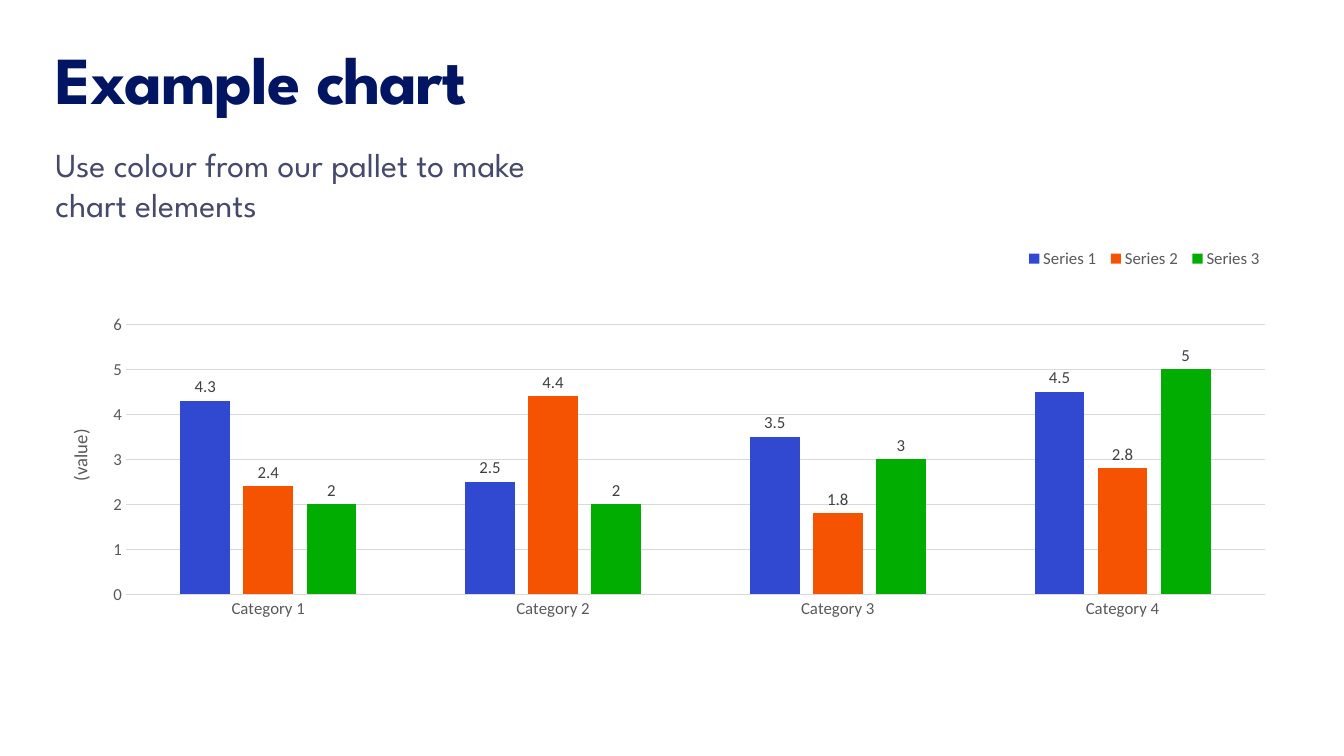
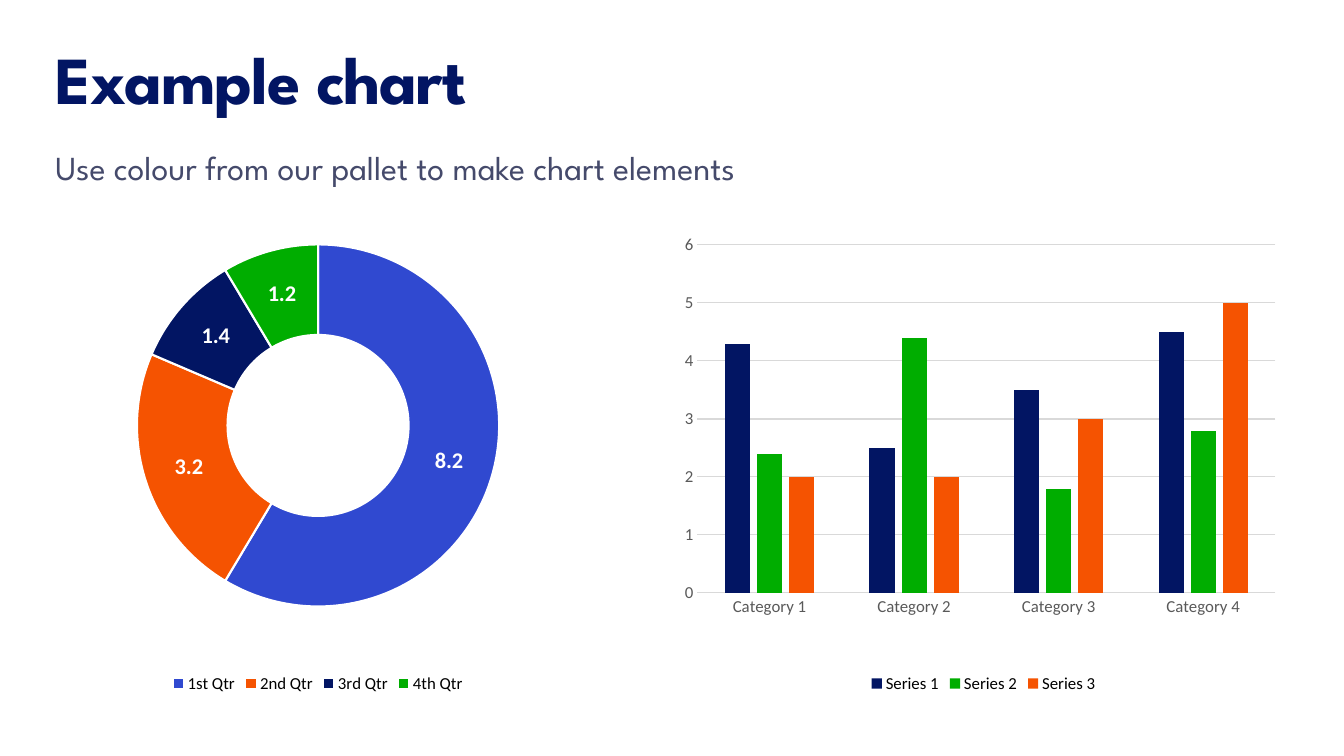
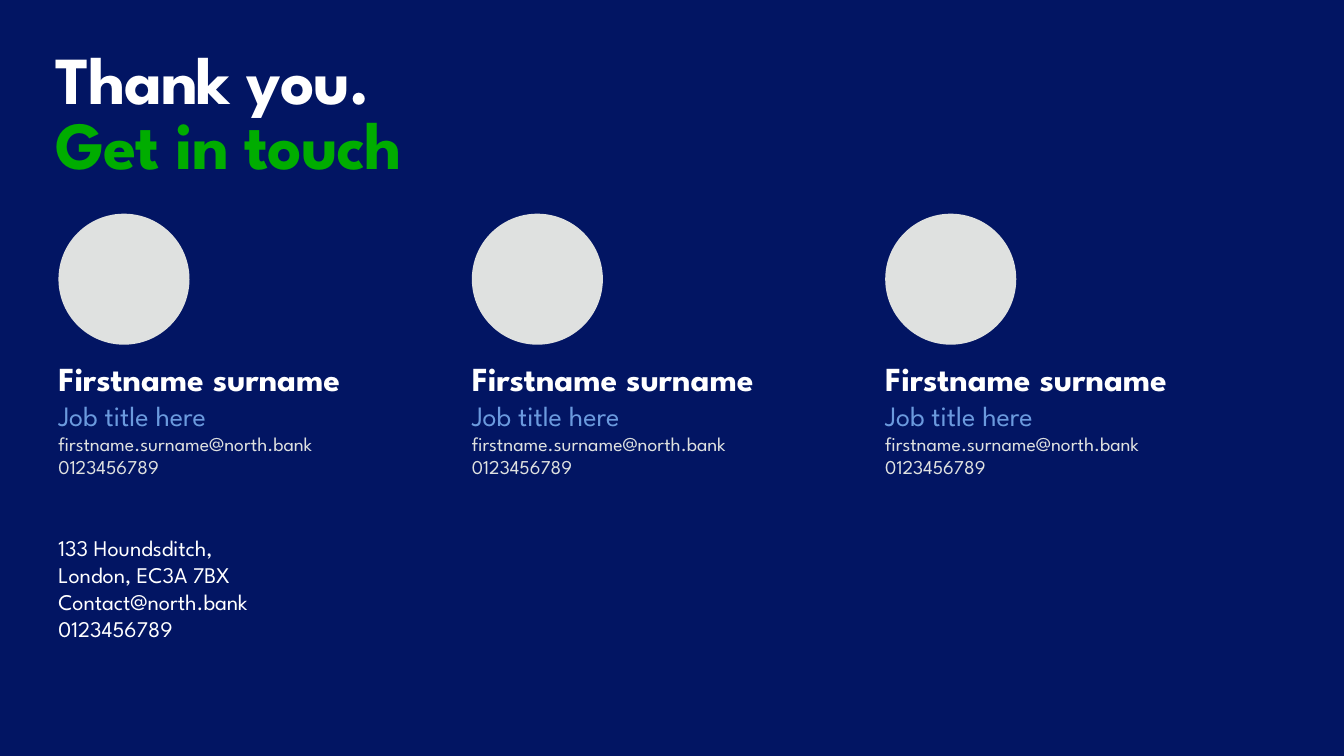
from copy import deepcopy

from lxml import etree
from pptx import Presentation
from pptx import util as u
from pptx.chart.data import CategoryChartData
from pptx.dml.color import RGBColor
from pptx.enum import chart as ch, shapes, text
from pptx.oxml.ns import qn

NAVY, BLUE, ORANGE, GREEN = "021563", "3049D0", "F55301", "00AD00"
SKY, SLATE, SILVER, WHITE, BLACK = "6B9ADE", "454A6B", "DFE1E0", "FFFFFF", "000000"
AXIS_GREY, LABEL_GREY, GRID_GREY = "595959", "404040", "D9D9D9"
HEADING_FONT, CHART_FONT = "League Spartan", "Calibri"

CATEGORIES = [f"Category {n}" for n in range(1, 5)]
COLUMNS = {
    "Series 1": (4.3, 2.5, 3.5, 4.5),
    "Series 2": (2.4, 4.4, 1.8, 2.8),
    "Series 3": (2, 2, 3, 5),
}
QUARTERS = {"1st Qtr": 8.2, "2nd Qtr": 3.2, "3rd Qtr": 1.4, "4th Qtr": 1.2}
SUBTITLE = "Use colour from our pallet to make chart elements"
PERSON = [
    ("Firstname surname", 24, WHITE, True),
    ("Job title here", 20, SKY, False),
    ("firstname.surname@north.bank", 14, SILVER, False),
    ("0123456789", 14, SILVER, False),
]
OFFICE = ["133 Houndsditch,", "London, EC3A 7BX", "Contact@north.bank", "0123456789"]


def rgb(value):
    """Turn a hex string into a colour."""
    return RGBColor.from_string(value)


def inches(box):
    """Turn a box given in inches into lengths."""
    return [u.Inches(side) for side in box]


def style(font, size, colour, name=CHART_FONT, bold=False):
    """Set the face, size, colour and weight of a font."""
    font.name, font.size, font.bold = name, u.Pt(size), bold
    font.color.rgb = rgb(colour)


def add_text(parent, box, inset=True):
    """Add a wrapping text frame that grows with its text."""
    frame = parent.shapes.add_textbox(*inches(box)).text_frame
    frame.word_wrap = True
    frame.auto_size = text.MSO_AUTO_SIZE.SHAPE_TO_FIT_TEXT
    if not inset:
        frame.margin_left = frame.margin_right = frame.margin_top = frame.margin_bottom = 0
    return frame


def add_title(slide, box, lines):
    """Add the tight bold heading, one colour for each line."""
    frame = add_text(slide, box)
    frame.text = "\n".join(line for line, _ in lines)
    for paragraph, (_, colour) in zip(frame.paragraphs, lines):
        paragraph.line_spacing = 0.8
        run = paragraph.runs[0]
        style(run.font, 48, colour, HEADING_FONT, True)
        run.font._element.set("spc", "-80")


def add_subtitle(slide, box):
    """Add the line under the heading."""
    frame = add_text(slide, box)
    frame.text = SUBTITLE
    style(frame.paragraphs[0].runs[0].font, 24, SLATE, HEADING_FONT)


def add_details(parent, box, lines):
    """Add one paragraph of styled lines parted by line breaks."""
    paragraph = add_text(parent, box, inset=False).paragraphs[0]
    paragraph.text = "\v".join(line for line, *_ in lines)
    paragraph.space_after = u.Pt(17.6)
    for run, (_, size, colour, bold) in zip(paragraph.runs, lines):
        style(run.font, size, colour, HEADING_FONT, bold)
    for line_break in paragraph._p.findall(qn("a:br")):
        line_break.append(deepcopy(line_break.getprevious().find(qn("a:rPr"))))


def set_layout(element, index, inner=False, **fractions):
    """Fix a chart part at fractions of the chart area."""
    for automatic in element.findall(qn("c:layout")):
        element.remove(automatic)
    layout = etree.Element(qn("c:layout"))
    element.insert(index, layout)
    manual = etree.SubElement(layout, qn("c:manualLayout"))
    settings = {"layoutTarget": "inner"} if inner else {}
    settings.update(xMode="edge", yMode="edge", **fractions)
    for key, value in settings.items():
        etree.SubElement(manual, qn(f"c:{key}")).set("val", str(value))


def add_chart(slide, box, kind, categories, series, plot_area, legend_colour):
    """Add a chart with its plot area fixed and a legend below."""
    data = CategoryChartData()
    data.categories = categories
    for name, values in series.items():
        data.add_series(name, values)
    chart = slide.shapes.add_chart(kind, *inches(box), data).chart
    style(chart.font, 10, BLACK)
    chart.has_title = False
    chart.has_legend = True
    chart.legend.position = ch.XL_LEGEND_POSITION.BOTTOM
    chart.legend.include_in_layout = False
    style(chart.legend.font, 12, legend_colour)
    set_layout(chart._chartSpace.chart.plotArea, 0, True, **dict(zip("xywh", plot_area)))
    return chart


def add_labels(series, size, colour, bold=False):
    """Show the values of a series."""
    labels = series.data_labels
    labels.show_value = True
    style(labels.font, size, colour, bold=bold)
    return labels


def add_columns(slide, box, plot_area, colours, legend_colour):
    """Add the clustered columns with light grid lines."""
    chart = add_chart(slide, box, ch.XL_CHART_TYPE.COLUMN_CLUSTERED,
                      CATEGORIES, COLUMNS, plot_area, legend_colour)
    plot = chart.plots[0]
    plot.gap_width, plot.overlap, plot.vary_by_categories = 219, -27, False
    for series, colour in zip(plot.series, colours):
        series.format.fill.solid()
        series.format.fill.fore_color.rgb = rgb(colour)
    values = chart.value_axis
    values.minimum_scale, values.maximum_scale, values.major_unit = 0, 6, 1
    for axis in (chart.category_axis, values):
        axis.major_tick_mark = axis.minor_tick_mark = ch.XL_TICK_MARK.NONE
        style(axis.tick_labels.font, 12, AXIS_GREY)
    values.format.line.fill.background()
    for line in (chart.category_axis.format.line, values.major_gridlines.format.line):
        line.color.rgb, line.width = rgb(GRID_GREY), u.Pt(0.75)
    return chart


def add_labelled_columns(slide, box):
    """Add the wide columns with value labels, axis title and legend on top."""
    chart = add_columns(slide, box, (0.06, 0.25, 0.917, 0.614),
                        (BLUE, ORANGE, GREEN), AXIS_GREY)
    for series in chart.plots[0].series:
        add_labels(series, 12, LABEL_GREY).position = ch.XL_LABEL_POSITION.OUTSIDE_END
    set_layout(chart.legend._element, 1, x=0.78, y=0.06, w=0.2, h=0.08)
    axis_title = chart.value_axis.axis_title
    frame = axis_title.text_frame
    frame.text = "(value)"
    style(frame.paragraphs[0].runs[0].font, 13.3, AXIS_GREY)
    frame._txBody.bodyPr.set("rot", "-5400000")
    frame._txBody.bodyPr.set("vert", "horz")
    set_layout(axis_title._element, 1, x=0.01, y=0.48)


def add_doughnut(slide, box):
    """Add the ring of quarters."""
    chart = add_chart(slide, box, ch.XL_CHART_TYPE.DOUGHNUT, list(QUARTERS),
                      {"Series 1": QUARTERS.values()}, (0.094, 0.163, 0.812, 0.669), BLACK)
    plot = chart.plots[0]
    plot.vary_by_categories = True
    plot._element.find(qn("c:holeSize")).set("val", "75")
    for index, colour in enumerate((BLUE, ORANGE, NAVY, GREEN)):
        look = plot.series[0].points[index].format
        look.fill.solid()
        look.fill.fore_color.rgb = rgb(colour)
        look.line.color.rgb, look.line.width = rgb(WHITE), u.Pt(1.5)
    add_labels(plot.series[0], 16, WHITE, True)


def add_person(slide, left, top):
    """Add a round portrait space with contact details below."""
    person = slide.shapes.add_group_shape()
    add_details(person, (left, top + 1.43, 3.97, 1.21), PERSON)
    portrait = person.shapes.add_shape(shapes.MSO_SHAPE.OVAL, *inches((left, top, 1.3, 1.3)))
    portrait.shadow.inherit = False
    portrait.fill.solid()
    portrait.fill.fore_color.rgb = rgb(SILVER)
    portrait.line.fill.background()


def new_slide(deck, colour=WHITE):
    """Add a blank slide on a plain background."""
    slide = deck.slides.add_slide(deck.slide_layouts[6])
    slide.background.fill.solid()
    slide.background.fill.fore_color.rgb = rgb(colour)
    return slide


def chart_slide(deck, subtitle_box):
    """Add a slide with the chart heading and subtitle."""
    slide = new_slide(deck)
    add_title(slide, (0.45, 0.48, 5.89, 0.75), [("Example chart", NAVY)])
    add_subtitle(slide, subtitle_box)
    return slide


def contact_slide(deck):
    """Add the closing slide with three people and the office."""
    slide = new_slide(deck, NAVY)
    add_title(slide, (0.45, 0.48, 11.12, 1.39),
              [("Thank you.", WHITE), ("Get in touch", GREEN)])
    for column in range(3):
        add_person(slide, 0.58 + 4.1 * column, 2.12)
    add_details(slide, (0.58, 5.3, 3.97, 1.08), [(line, 16, WHITE, False) for line in OFFICE])


def main():
    """Build and save the deck."""
    deck = Presentation()
    deck.slide_width, deck.slide_height = u.Inches(13.33), u.Inches(7.5)
    add_labelled_columns(chart_slide(deck, (0.45, 1.38, 5.64, 0.91)), (0.51, 2.13, 12.32, 4.36))
    pair = chart_slide(deck, (0.45, 1.41, 10.32, 0.5))
    add_doughnut(pair, (-0.02, 1.55, 6.35, 5.37))
    add_columns(pair, (6.58, 1.55, 6.35, 5.37), (0.053, 0.164, 0.903, 0.643),
                (NAVY, GREEN, ORANGE), BLACK)
    contact_slide(deck)
    deck.save("out.pptx")


if __name__ == "__main__":
    main()
